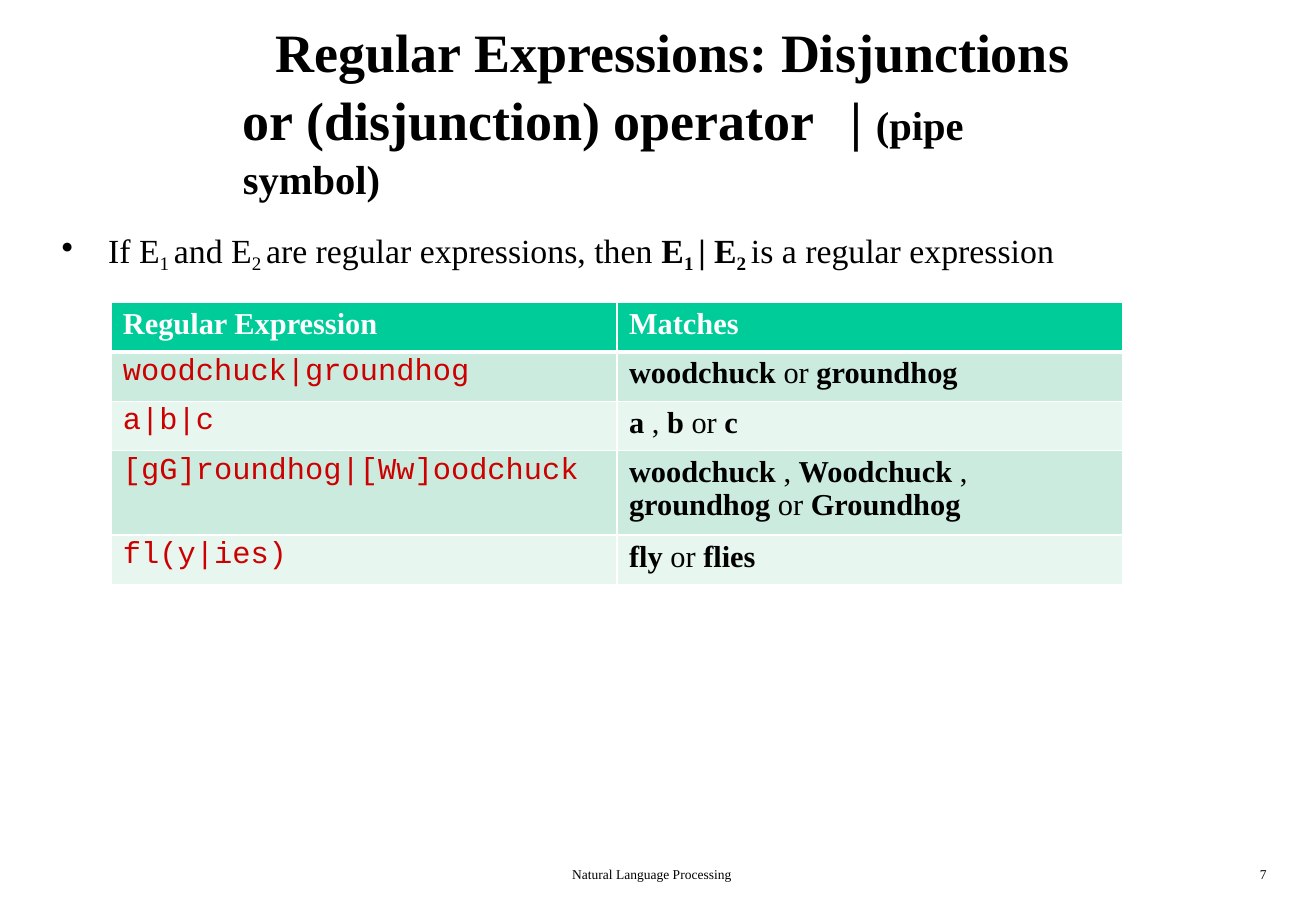
from dataclasses import dataclass, field
from lxml.etree import SubElement
from pptx import Presentation
from pptx.dml.color import RGBColor as RGB
from pptx.oxml import parse_xml
from pptx.oxml.ns import nsdecls, qn
from pptx.util import Cm, Pt

SERIF, MONO = "Times New Roman", "Courier New"
BLACK, WHITE, RED = "000000", "FFFFFF", "CC0000"
GREEN, BANDS = "00CC99", ("CAEBDE", "E7F6EE")


@dataclass
class Run:
    text: str
    size: float = 18
    bold: bool = False
    name: str = SERIF
    color: str = BLACK
    sub: bool = False


@dataclass
class Box:
    left: float
    top: float
    width: float
    height: float
    runs: list[Run]
    inset: float = 0
    margin: float = 0
    indent: float = 0
    tab: float = 0
    bullet: str = ""
    spacing: float = 1


@dataclass
class Row:
    height: float
    regex: str
    lines: list[str] = field(default_factory=list)


def paint(fmt, color: str) -> None:
    fmt.rgb = RGB.from_string(color)


def write(para, runs: list[Run]) -> None:
    for run in runs:
        part = para.add_run()
        part.text = run.text
        look = {"size": Pt(run.size), "bold": run.bold, "name": run.name}
        for key, value in look.items():
            setattr(part.font, key, value)
        paint(part.font.color, run.color)
        if run.sub:
            part.font._element.set("baseline", "-21000")


def mixed(line: str, size: float = 18) -> list[Run]:
    """Split on * into plain and bold runs by turns, plain first."""
    return [Run(text, size, bold=i % 2 == 1)
            for i, text in enumerate(line.split("*")) if text]


def terms(first: str, second: str, bold: bool) -> list[Run]:
    """Give E1 and E2 joined by a word or sign."""
    return [Run("E", 20, bold), Run("1 ", 19.5, bold, sub=True),
            Run(first, 20, bold), Run("E", 20, bold),
            Run("2 ", 19.5, bold, sub=True), Run(second, 20)]


def add_box(slide, box: Box) -> None:
    shape = slide.shapes.add_textbox(
        Cm(box.left), Cm(box.top), Cm(box.width), Cm(box.height))
    frame = shape.text_frame
    frame.word_wrap = True
    for side in ("left", "right", "bottom"):
        setattr(frame, f"margin_{side}", 0)
    frame.margin_top = Cm(box.inset)
    para = frame.paragraphs[0]
    para.line_spacing = box.spacing
    props = para._p.get_or_add_pPr()
    props.set("marL", str(Cm(box.margin)))
    props.set("indent", str(Cm(box.indent)))
    if box.bullet:
        SubElement(props, qn("a:buChar")).set("char", box.bullet)
    if box.tab:
        tab = SubElement(SubElement(props, qn("a:tabLst")), qn("a:tab"))
        tab.set("pos", str(Cm(box.tab)))
        tab.set("algn", "l")
    write(para, box.runs)


def edge(cell, widths: dict[str, int]) -> None:
    props = cell._tc.get_or_add_tcPr()
    for i, (side, width) in enumerate(widths.items()):
        props.insert(i, parse_xml(
            f'<a:ln{side} {nsdecls("a")} w="{Pt(width)}"><a:solidFill>'
            f'<a:srgbClr val="{WHITE}"/></a:solidFill></a:ln{side}>'))


def fill_cell(cell, lines: list[list[Run]], color: str, top: float,
              widths: dict[str, int]) -> None:
    cell.fill.solid()
    paint(cell.fill.fore_color, color)
    edge(cell, widths)
    margins = {"left": 0.25, "top": top, "right": 0, "bottom": 0}
    for side, value in margins.items():
        setattr(cell, f"margin_{side}", Cm(value))
    frame = cell.text_frame
    for i, runs in enumerate(lines):
        write(frame.add_paragraph() if i else frame.paragraphs[0], runs)


def add_grid(slide, rows: list[Row]) -> None:
    high = sum(row.height for row in rows)
    grid = slide.shapes.add_table(
        len(rows), 2, Cm(2.32), Cm(6.33), Cm(21.16), Cm(high)).table
    for i, row in enumerate(rows):
        grid.rows[i].height = Cm(row.height)
        head = i == 0
        color = GREEN if head else BANDS[(i - 1) % 2]
        widths = {"L": 1, "R": 1, "T": 3 if i == 1 else 1, "B": 3 if head else 1}
        if head:
            pair = [[[Run(text, bold=True, color=WHITE)]]
                    for text in (row.regex, *row.lines)]
        else:
            pair = [[[Run(row.regex, name=MONO, color=RED)]],
                    [mixed(line) for line in row.lines]]
        for j, lines in enumerate(pair):
            top = 0.1 if head or j else 0.07
            fill_cell(grid.cell(i, j), lines, color, top, widths)


BOXES = [
    Box(11.96, 18.11, 3.4, 0.38, [Run("Natural Language Processing", 8)]),
    Box(26.24, 18.11, 0.5, 0.38, [Run("7", 8)], margin=0.1),
    Box(1.19, 4.72, 21.6, 0.91,
        [Run("If ", 20)]
        + terms("and ", "are regular expressions, then ", False)
        + terms("| ", "is a regular expression", True),
        inset=0.08, margin=1.07, indent=-0.97, tab=1.07, bullet="•"),
    Box(5.05, 0.25, 18.06, 2.79,
        [Run("Regular Expressions: Disjunctions or (disjunction) operator\t| ",
             32, True), Run("(pipe symbol)", 24, True)],
        inset=0.08, margin=0.03, indent=0.69, tab=12.57, spacing=1.05),
]
ROWS = [
    Row(1.03, "Regular Expression", ["Matches"]),
    Row(1.03, "woodchuck|groundhog", ["*woodchuck *or *groundhog"]),
    Row(1.03, "a|b|c", ["*a *, *b *or *c"]),
    Row(1.77, "[gG]roundhog|[Ww]oodchuck",
        ["*woodchuck *, *Woodchuck *,", "*groundhog *or *Groundhog"]),
    Row(1.03, "fl(y|ies)", ["*fly *or *flies"]),
]


def main() -> None:
    deck = Presentation()
    deck.slide_width, deck.slide_height = Cm(27.51), Cm(19.05)
    slide = deck.slides.add_slide(deck.slide_layouts[6])
    for box in BOXES:
        add_box(slide, box)
    add_grid(slide, ROWS)
    deck.save("out.pptx")


if __name__ == "__main__":
    main()
